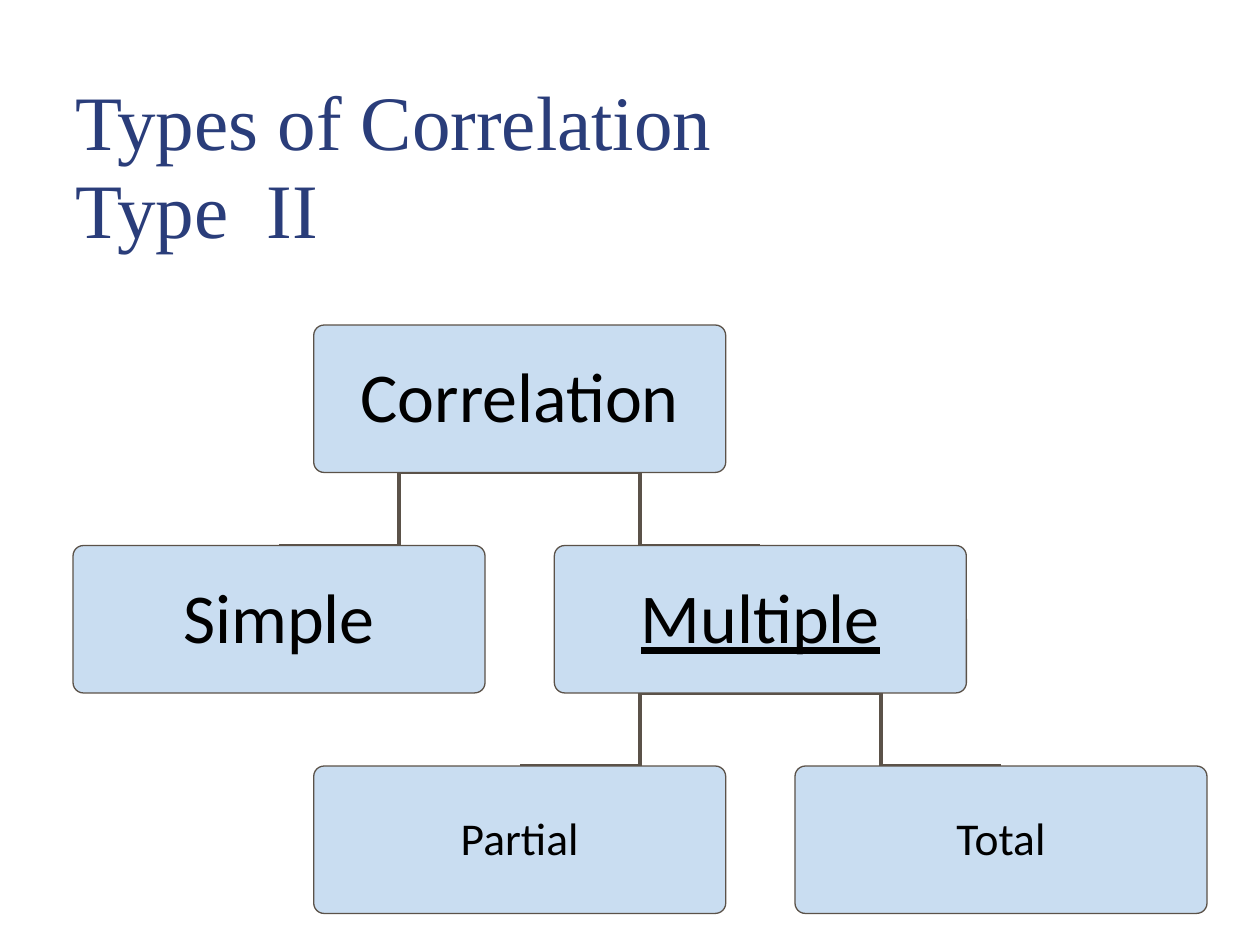
from pptx import Presentation
from pptx.dml.color import RGBColor
from pptx.enum.shapes import MSO_CONNECTOR, MSO_SHAPE
from pptx.enum.text import MSO_ANCHOR, MSO_AUTO_SIZE, PP_ALIGN
from pptx.oxml.ns import qn
from pptx.util import Inches, Pt
from lxml import etree

ROUNDED = MSO_SHAPE.ROUNDED_RECTANGLE
ELBOW = MSO_CONNECTOR.ELBOW
LEFT, CENTER = PP_ALIGN.LEFT, PP_ALIGN.CENTER
MIDDLE, BOTTOM = MSO_ANCHOR.MIDDLE, MSO_ANCHOR.BOTTOM
TITLE_ONLY = 5

COLORS = {"title": "2A3D7A", "fill": "C9DDF1", "line": "5B5249", "text": "000000"}

# Tree grid: origin and pitch of columns and rows, and node size, in inches
X0, Y0 = 0.58, 2.58
COL, ROW = 1.91, 1.75
NODE_W, NODE_H = 3.27, 1.17

# Node: (column, row, font size, underlined, parent)
NODES = {
    "Correlation": (1, 0, 40, False, None),
    "Simple": (0, 1, 40, False, "Correlation"),
    "Multiple": (2, 1, 40, True, "Correlation"),
    "Partial": (1, 2, 26, False, "Multiple"),
    "Total": (3, 2, 26, False, "Multiple"),
}


def color(name):
    return RGBColor.from_string(COLORS[name])


class TreeSlide:
    def __init__(self, prs):
        self.slide = prs.slides.add_slide(prs.slide_layouts[TITLE_ONLY])

    def style_text(self, p, font, size, name, align):
        p.alignment = align
        p.line_spacing = 0.95
        p.font.name = font
        p.font.size = Pt(size)
        p.font.color.rgb = color(name)

    def title(self, text):
        sp = self.slide.shapes.title
        sp.left, sp.top = Inches(0.5), Inches(0.18)
        sp.width, sp.height = Inches(9), Inches(1.9)
        tf = sp.text_frame
        tf.auto_size = MSO_AUTO_SIZE.NONE
        tf.vertical_anchor = BOTTOM
        p = tf.paragraphs[0]
        p.text = text
        self.style_text(p, "Times New Roman", 44, "title", LEFT)

    def node(self, text, col, row, size, underline):
        sp = self.slide.shapes.add_shape(
            ROUNDED, Inches(X0 + col * COL), Inches(Y0 + row * ROW),
            Inches(NODE_W), Inches(NODE_H))
        sp.adjustments[0] = 0.07
        sp.shadow.inherit = False
        sp.fill.solid()
        sp.fill.fore_color.rgb = color("fill")
        sp.line.color.rgb = color("line")
        sp.line.width = Pt(0.75)
        tf = sp.text_frame
        tf.word_wrap = True
        tf.vertical_anchor = MIDDLE
        tf.margin_left = tf.margin_right = Inches(0.06)
        tf.margin_top = tf.margin_bottom = Inches(0.06)
        p = tf.paragraphs[0]
        p.text = text
        self.style_text(p, "Calibri", size, "text", CENTER)
        if underline:
            p.runs[0].font.underline = True

    def branch(self, child, parent):
        """Elbow from the child's top centre to the parent's bottom centre."""
        (col, row), (parent_col, parent_row) = child, parent
        center = X0 + NODE_W / 2
        cxn = self.slide.shapes.add_connector(
            ELBOW,
            Inches(center + col * COL), Inches(Y0 + row * ROW),
            Inches(center + parent_col * COL),
            Inches(Y0 + parent_row * ROW + NODE_H))
        cxn.line.color.rgb = color("line")
        cxn.line.width = Pt(2.25)
        etree.SubElement(cxn._element.spPr, qn("a:effectLst"))


def main():
    prs = Presentation()
    prs.slide_width, prs.slide_height = Inches(10), Inches(7.5)
    s = TreeSlide(prs)
    s.title("Types of Correlation\vType  II")

    # Branches lie behind the nodes
    for col, row, _, _, parent in NODES.values():
        if parent:
            s.branch((col, row), NODES[parent][:2])
    for text, (col, row, size, underline, _) in NODES.items():
        s.node(text, col, row, size, underline)

    prs.save("out.pptx")


if __name__ == "__main__":
    main()
